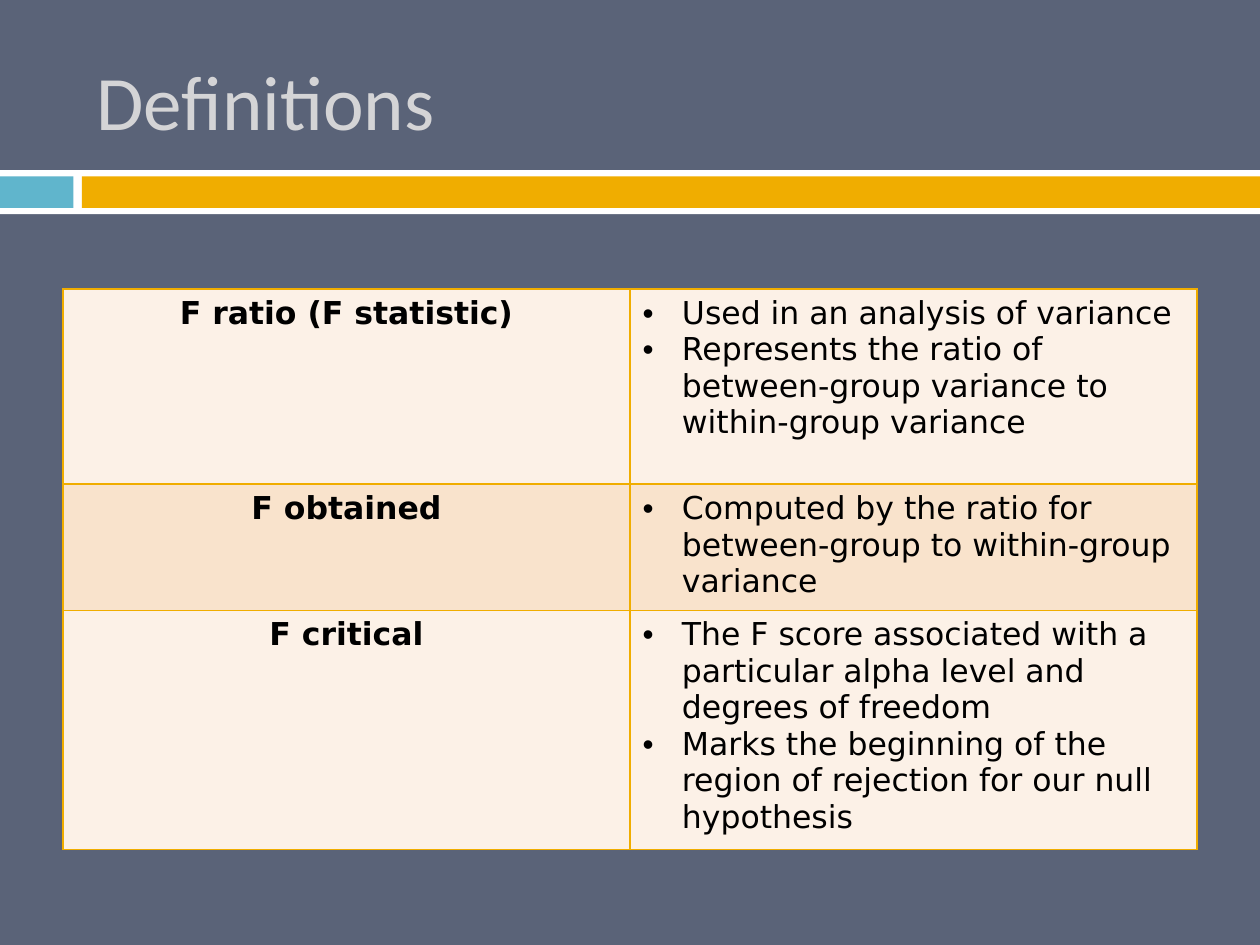
import dataclasses
import typing

import lxml.etree
import pptx
import pptx.dml.color
import pptx.enum.shapes
import pptx.enum.text
import pptx.oxml.ns
import pptx.util

Pt = pptx.util.Pt
RGBColor = pptx.dml.color.RGBColor
Alignment = pptx.enum.text.PP_ALIGN
qn = pptx.oxml.ns.qn

SLATE = RGBColor(0x5A, 0x63, 0x78)
WHITE = RGBColor(0xFF, 0xFF, 0xFF)
BLUE = RGBColor(0x60, 0xB5, 0xCC)
GOLD = RGBColor(0xF0, 0xAD, 0x00)
SILVER = RGBColor(0xD4, 0xD4, 0xD6)
BLACK = RGBColor(0x00, 0x00, 0x00)
CREAM = RGBColor(0xFC, 0xF1, 0xE7)
PEACH = RGBColor(0xF9, 0xE3, 0xCC)

TITLE_FONT = {"name": "Calibri", "size": Pt(44)}
TERM_FONT = {"name": "DejaVu Sans", "size": Pt(18), "bold": True}
MEANING_FONT = {**TERM_FONT, "bold": False}
TITLE_FRAME = {
    "word_wrap": True,
    "vertical_anchor": pptx.enum.text.MSO_ANCHOR.MIDDLE,
}
PLAIN_TABLE = {"first_row": False, "horz_banding": False}
BULLET_INDENT = Pt(22.5)
COLUMN_WIDTH = Pt(324)


@dataclasses.dataclass(frozen=True)
class Band:
    left: float
    top: float
    width: float
    height: float
    color: RGBColor


@dataclasses.dataclass(frozen=True)
class Definition:
    term: str
    meanings: tuple[str, ...]
    height: float
    color: RGBColor


BANDS = (
    Band(0, 97.2, 720, 25.2, WHITE),
    Band(0, 100.8, 42, 18, BLUE),
    Band(46.8, 100.8, 673.2, 18, GOLD),
)

DEFINITIONS = (
    Definition(
        "F ratio (F statistic)",
        (
            "Used in an analysis of variance",
            "Represents the ratio of between-group variance to within-group variance",
        ),
        111.7,
        CREAM,
    ),
    Definition(
        "F obtained",
        ("Computed by the ratio for between-group to within-group variance",),
        69.6,
        PEACH,
    ),
    Definition(
        "F critical",
        (
            "The F score associated with a particular alpha level and degrees of freedom",
            "Marks the beginning of the region of rejection for our null hypothesis",
        ),
        132.6,
        CREAM,
    ),
)


def apply_format(target: typing.Any, values: dict[str, typing.Any]) -> None:
    for name, value in values.items():
        setattr(target, name, value)


def write_run(paragraph, text: str, font: dict[str, typing.Any], color: RGBColor) -> None:
    run = paragraph.add_run()
    run.text = text
    apply_format(run.font, font)
    run.font.color.rgb = color


def draw_band(slide, band: Band) -> None:
    shape = slide.shapes.add_shape(
        pptx.enum.shapes.MSO_SHAPE.RECTANGLE,
        Pt(band.left), Pt(band.top), Pt(band.width), Pt(band.height),
    )
    shape.shadow.inherit = False
    shape.fill.solid()
    shape.fill.fore_color.rgb = band.color
    shape.line.fill.background()


def draw_title(slide, text: str) -> None:
    shape = slide.shapes.add_textbox(Pt(48), Pt(18), Pt(642), Pt(78))
    apply_format(shape.text_frame, TITLE_FRAME)
    write_run(shape.text_frame.paragraphs[0], text, TITLE_FONT, SILVER)


def style_cell(cell, color: RGBColor) -> None:
    properties = cell._tc.get_or_add_tcPr()
    for side in ("a:lnL", "a:lnR", "a:lnT", "a:lnB"):
        line = lxml.etree.SubElement(properties, qn(side), w=str(Pt(1)))
        fill = lxml.etree.SubElement(line, qn("a:solidFill"))
        lxml.etree.SubElement(fill, qn("a:srgbClr"), val=str(GOLD))
    cell.fill.solid()
    cell.fill.fore_color.rgb = color


def add_bullet(paragraph) -> None:
    properties = paragraph._p.get_or_add_pPr()
    properties.set("marL", str(BULLET_INDENT))
    properties.set("indent", str(-BULLET_INDENT))
    lxml.etree.SubElement(properties, qn("a:buFont"), typeface="Arial")
    lxml.etree.SubElement(properties, qn("a:buChar"), char="•")


def fill_row(table, index: int, definition: Definition) -> None:
    table.rows[index].height = Pt(definition.height)
    term_cell, meaning_cell = table.cell(index, 0), table.cell(index, 1)
    for cell in (term_cell, meaning_cell):
        style_cell(cell, definition.color)

    paragraph = term_cell.text_frame.paragraphs[0]
    paragraph.alignment = Alignment.CENTER
    write_run(paragraph, definition.term, TERM_FONT, BLACK)

    frame = meaning_cell.text_frame
    for position, meaning in enumerate(definition.meanings):
        paragraph = frame.add_paragraph() if position else frame.paragraphs[0]
        add_bullet(paragraph)
        write_run(paragraph, meaning, MEANING_FONT, BLACK)


def draw_definitions(slide, definitions: tuple[Definition, ...]) -> None:
    height = sum(definition.height for definition in definitions)
    table = slide.shapes.add_table(
        len(definitions), 2, Pt(36), Pt(165), 2 * COLUMN_WIDTH, Pt(height)
    ).table
    apply_format(table, PLAIN_TABLE)
    for column in table.columns:
        column.width = COLUMN_WIDTH
    for index, definition in enumerate(definitions):
        fill_row(table, index, definition)


def main() -> None:
    presentation = pptx.Presentation()
    apply_format(presentation, {"slide_width": Pt(720), "slide_height": Pt(540)})
    slide = presentation.slides.add_slide(presentation.slide_layouts[6])
    slide.background.fill.solid()
    slide.background.fill.fore_color.rgb = SLATE
    for band in BANDS:
        draw_band(slide, band)
    draw_title(slide, "Definitions")
    draw_definitions(slide, DEFINITIONS)
    presentation.save("out.pptx")


if __name__ == "__main__":
    main()
